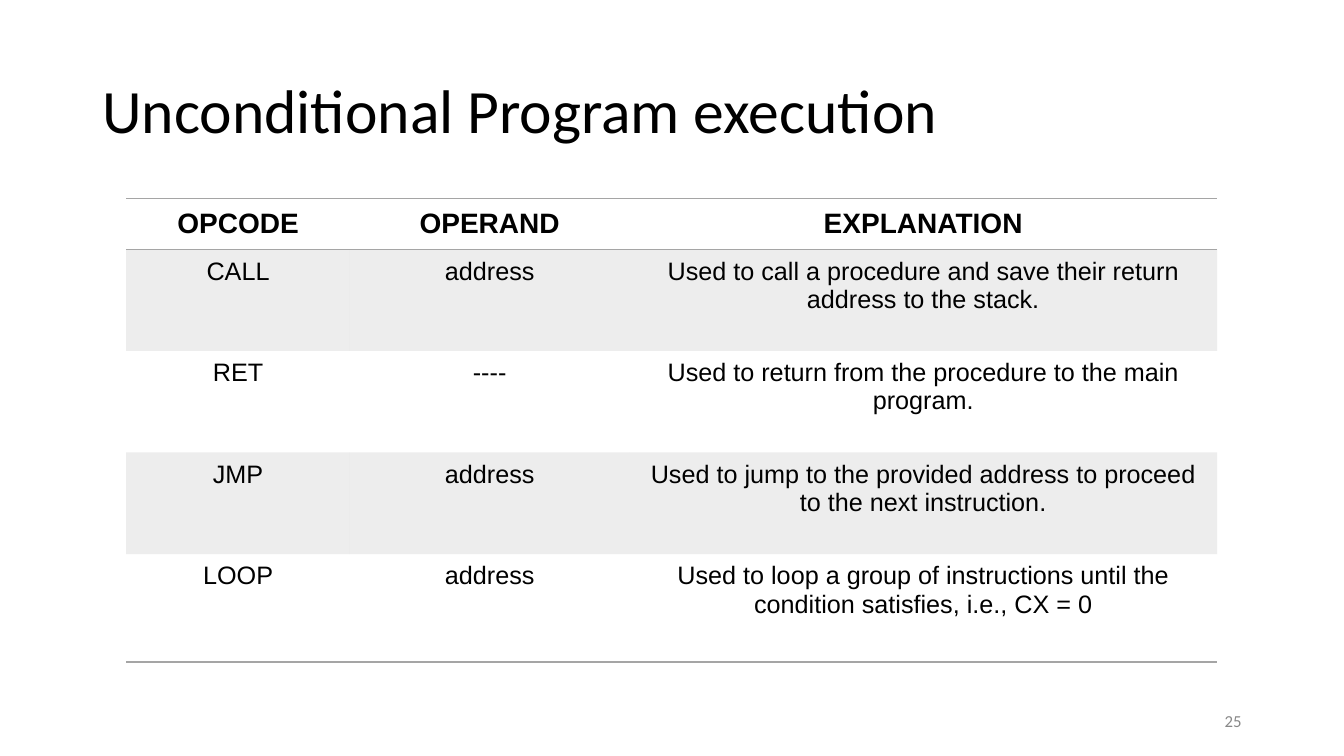
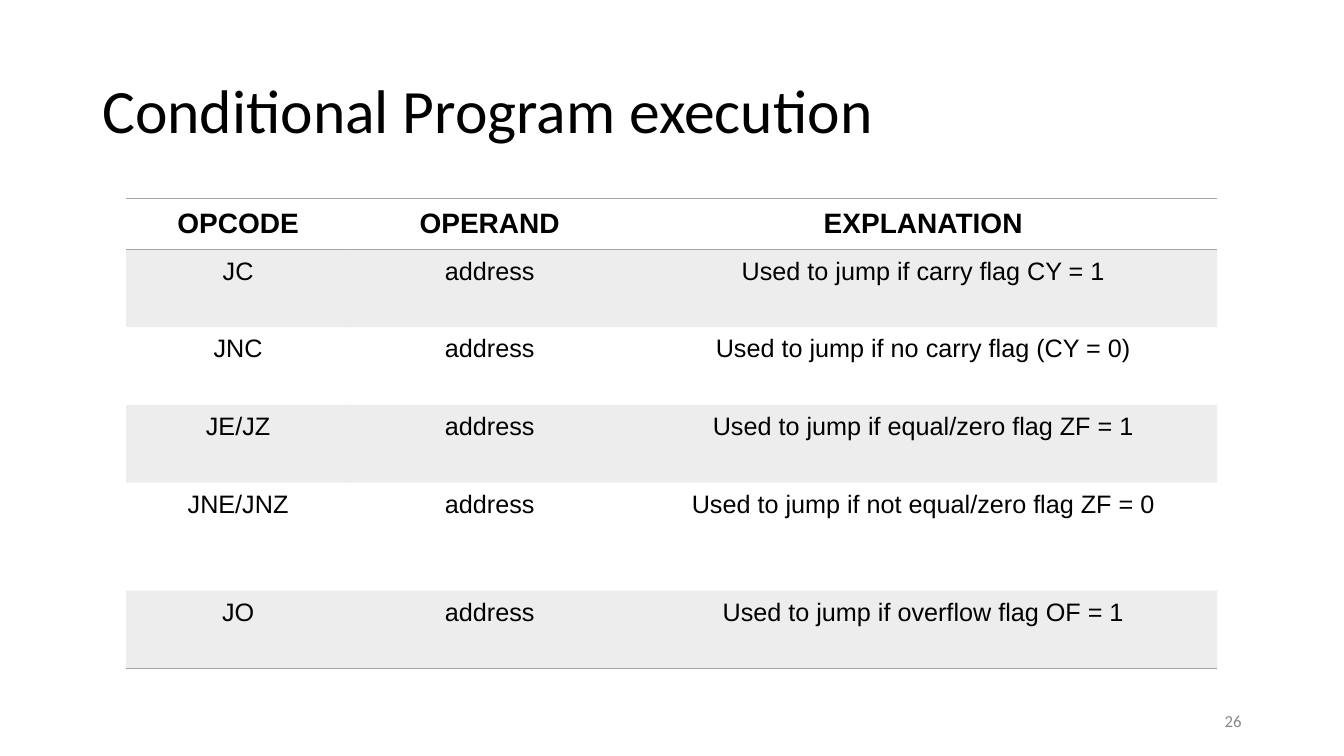
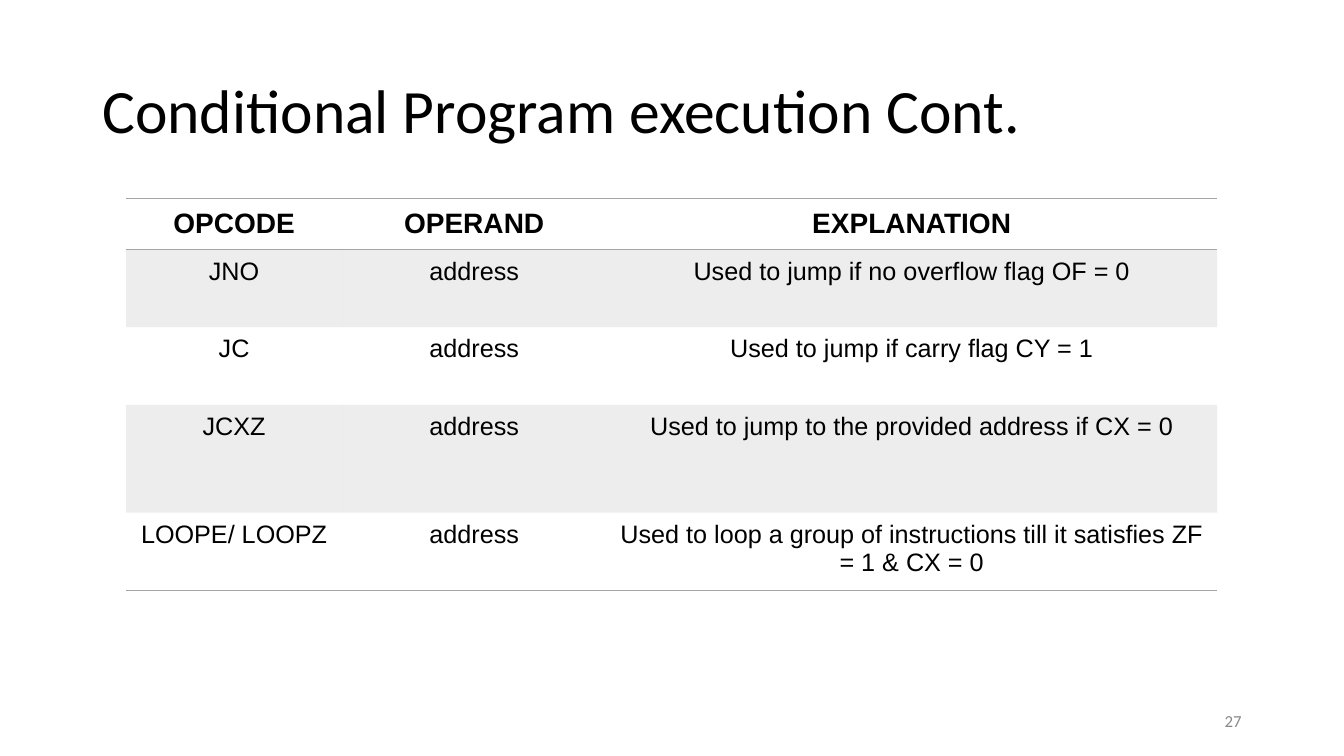
from lxml.etree import SubElement
from pptx import Presentation
from pptx.dml.color import RGBColor
from pptx.enum.text import MSO_ANCHOR as Anchor, PP_ALIGN as Align
from pptx.oxml.ns import qn
from pptx.util import Cm, Pt

# Content: title, column widths, then rows as (height, cells), in cm
HEADER = (1.28, ("OPCODE", "OPERAND", "EXPLANATION"))
WIDE, NARROW = (5.64, 7.04, 14.81), (5.44, 6.66, 15.39)
SLIDES = [
    ("Unconditional Program execution", WIDE, [
        (2.56, ("CALL", "address", "Used to call a procedure and save their return address to the stack.")),
        (2.56, ("RET", "----", "Used to return from the procedure to the main program.")),
        (2.56, ("JMP", "address", "Used to jump to the provided address to proceed to the next instruction.")),
        (2.72, ("LOOP", "address",
                "Used to loop a group of instructions until the condition satisfies, i.e., CX = 0")),
    ]),
    ("Conditional Program execution", WIDE, [
        (1.96, ("JC", "address", "Used to jump if carry flag CY = 1")),
        (1.96, ("JNC", "address", "Used to jump if no carry flag (CY = 0)")),
        (1.96, ("JE/JZ", "address", "Used to jump if equal/zero flag ZF = 1")),
        (2.72, ("JNE/JNZ", "address", "Used to jump if not equal/zero flag ZF = 0")),
        (1.96, ("JO", "address", "Used to jump if overflow flag OF = 1")),
    ]),
    ("Conditional Program execution Cont.", NARROW, [
        (1.96, ("JNO", "address", "Used to jump if no overflow flag OF = 0")),
        (1.96, ("JC", "address", "Used to jump if carry flag CY = 1")),
        (2.72, ("JCXZ", "address", "Used to jump to the provided address if CX = 0")),
        (1.96, ("LOOPE/ LOOPZ", "address",
                "Used to loop a group of instructions till it satisfies ZF = 1 & CX = 0")),
    ]),
]
FIRST_NUMBER = 25

# Shared look
BLACK, GREY, NUMBER_GREY = "000000", "A5A5A5", "888888"
BAND_ALPHA = 20
NO_GRID_STYLE = "{2D5ABB26-0587-4C30-8999-92F81FD0307C}"
TITLE_BOX = (2.33, 1.01, 29.21, 3.68)
NUMBER_BOX = (23.92, 17.65, 7.62, 1.01)
TABLE_LEFT, TABLE_TOP = 3.18, 5
TITLE_FONT = {"name": "Calibri", "size": Pt(44), "bold": False}
NUMBER_FONT = {"name": "Calibri", "size": Pt(12), "bold": False}
HEADER_FONT = {"name": "Arial", "size": Pt(20), "bold": True}
BODY_FONT = {"name": "Arial", "size": Pt(18), "bold": False}
CELL_MARGINS = {f"margin_{side}": Cm(0.2) for side in ("left", "right", "top", "bottom")}


def set_all(target, values):
    for name, value in values.items():
        setattr(target, name, value)


def paint(color_format, color):
    color_format.rgb = RGBColor.from_string(color)


def write(frame, text, font, color, align):
    paragraph = frame.paragraphs[0]
    paragraph.alignment = align
    run = paragraph.add_run()
    run.text = text
    set_all(run.font, font)
    paint(run.font.color, color)
    return paragraph


def add_label(slide, box, text, font, color, align):
    frame = slide.shapes.add_textbox(*map(Cm, box)).text_frame
    set_all(frame, {"word_wrap": True, "vertical_anchor": Anchor.MIDDLE})
    return write(frame, text, font, color, align)


def add_rule(cell, edge):
    line = SubElement(cell._tc.get_or_add_tcPr(), qn(f"a:{edge}"), w=str(Pt(1)))
    SubElement(SubElement(line, qn("a:solidFill")), qn("a:srgbClr"), val=GREY)


def fill_band(cell):
    cell.fill.solid()
    paint(cell.fill.fore_color, GREY)
    shade = cell._tc.tcPr.find(f"{qn('a:solidFill')}/{qn('a:srgbClr')}")
    SubElement(shade, qn("a:alpha"), val=str(BAND_ALPHA * 1000))


def add_opcode_table(slide, widths, rows):
    heights = [height for height, _ in rows]
    table = slide.shapes.add_table(
        len(rows), len(widths), Cm(TABLE_LEFT), Cm(TABLE_TOP), Cm(sum(widths)), Cm(sum(heights))).table
    table._tbl.tblPr.find(qn("a:tableStyleId")).text = NO_GRID_STYLE
    set_all(table, {"first_row": True, "horz_banding": False})
    for column, width in zip(table.columns, widths):
        column.width = Cm(width)

    for r, (height, texts) in enumerate(rows):
        table.rows[r].height = Cm(height)
        is_header, is_last = r == 0, r == len(rows) - 1
        for c, text in enumerate(texts):
            cell = table.cell(r, c)
            set_all(cell, CELL_MARGINS)
            cell.vertical_anchor = Anchor.MIDDLE if is_header else Anchor.TOP
            write(cell.text_frame, text, HEADER_FONT if is_header else BODY_FONT, BLACK, Align.CENTER)
            # Rules above and below the header, and below the last row
            if is_header:
                add_rule(cell, "lnT")
            if is_header or is_last:
                add_rule(cell, "lnB")
            # Every other row is shaded
            if r % 2:
                fill_band(cell)
            else:
                cell.fill.background()


def main():
    deck = Presentation()
    set_all(deck, {"slide_width": Cm(33.87), "slide_height": Cm(19.05)})
    for number, (title, widths, rows) in enumerate(SLIDES, FIRST_NUMBER):
        slide = deck.slides.add_slide(deck.slide_layouts[6])
        add_label(slide, TITLE_BOX, title, TITLE_FONT, BLACK, Align.LEFT).line_spacing = 0.9
        add_label(slide, NUMBER_BOX, str(number), NUMBER_FONT, NUMBER_GREY, Align.RIGHT)
        add_opcode_table(slide, widths, [HEADER, *rows])
    deck.save("out.pptx")


if __name__ == "__main__":
    main()
